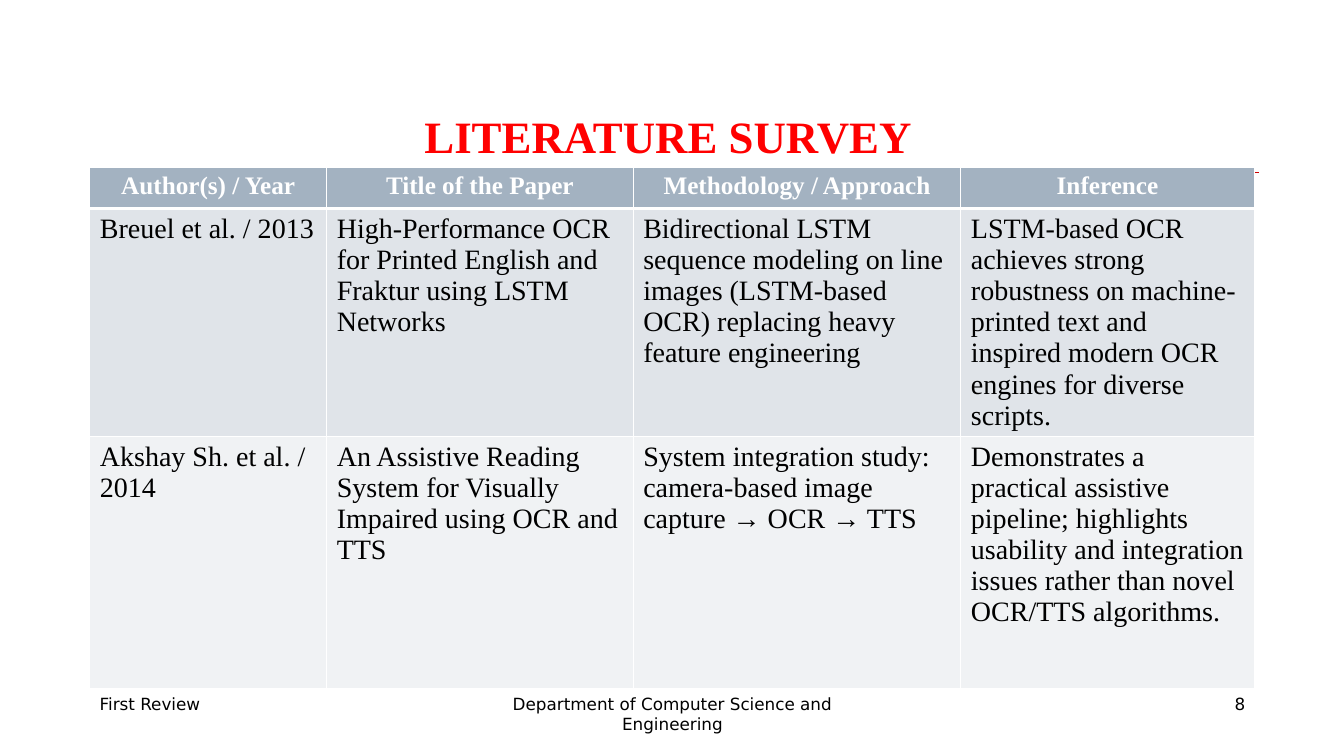
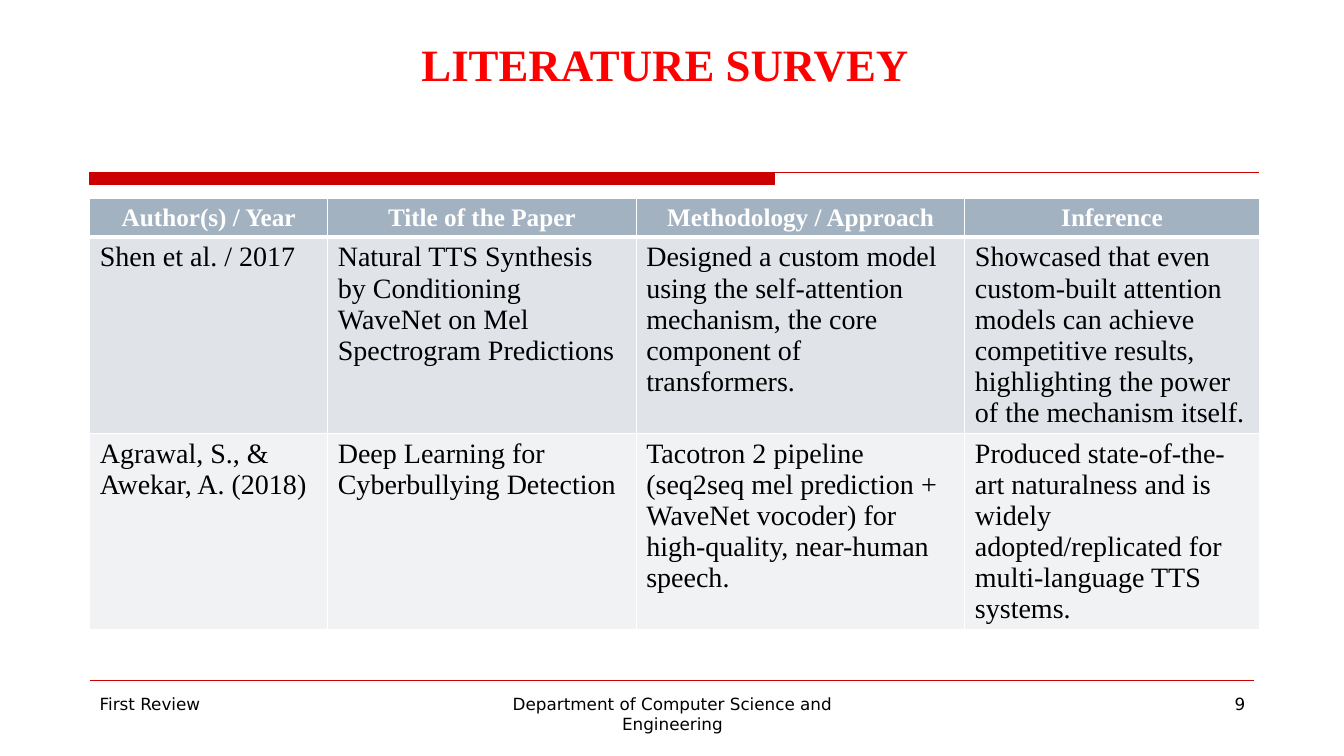
from lxml import etree
from pptx import Presentation
from pptx.dml.color import RGBColor
from pptx.enum.shapes import MSO_CONNECTOR, MSO_SHAPE
from pptx.enum.text import MSO_ANCHOR, PP_ALIGN
from pptx.oxml.ns import qn
from pptx.util import Inches, Pt

LEFT, CENTER, RIGHT = PP_ALIGN.LEFT, PP_ALIGN.CENTER, PP_ALIGN.RIGHT
TOP, BOTTOM = MSO_ANCHOR.TOP, MSO_ANCHOR.BOTTOM
RECTANGLE = MSO_SHAPE.RECTANGLE
STRAIGHT = MSO_CONNECTOR.STRAIGHT

WHITE = RGBColor(0xFF, 0xFF, 0xFF)
BLACK = RGBColor(0x00, 0x00, 0x00)
TITLE_RED = RGBColor(0xFF, 0x00, 0x00)
RULE_RED = RGBColor(0xCC, 0x00, 0x00)
HEADER_FILL = RGBColor(0xA3, 0xB2, 0xC1)
ROW_FILLS = (RGBColor(0xE0, 0xE4, 0xE9), RGBColor(0xF0, 0xF2, 0xF4))

SERIF = "Times New Roman"
SANS = "DejaVu Sans"
MARGIN = 0.89
CELL_LINE_HEIGHT = 1.11

TITLE = "LITERATURE SURVEY "
HEADERS = ("Author(s) / Year", "Title of the Paper",
           "Methodology / Approach", "Inference")

SURVEYS = (
    {
        "number": 8,
        "title_box": (0.84, 0.33, 11.67, 1.33),
        "table_top": 1.66,
        "columns": (2.35, 3.04, 3.25, 2.91),
        "rows": (0.41, 2.26, 2.5),
        "papers": (
            ("Breuel et al. / 2013",
             "High-Performance OCR for Printed English and Fraktur using "
             "LSTM Networks",
             "Bidirectional LSTM sequence modeling on line images "
             "(LSTM-based OCR) replacing heavy feature engineering",
             "LSTM-based OCR achieves strong robustness on machine-printed "
             "text and inspired modern OCR engines for diverse scripts."),
            ("Akshay Sh. et al. / 2014",
             "An Assistive Reading System for Visually Impaired using OCR "
             "and TTS",
             "System integration study: camera-based image capture → OCR "
             "→ TTS",
             "Demonstrates a practical assistive pipeline; highlights "
             "usability and integration issues rather than novel OCR/TTS "
             "algorithms."),
        ),
    },
    {
        "number": 9,
        "title_box": (0.81, 0.23, 11.67, 0.72),
        "table_top": 1.97,
        "columns": (2.36, 3.06, 3.26, 2.92),
        "rows": (0.38, 1.95, 1.95),
        "papers": (
            ("Shen et al. / 2017",
             "Natural TTS Synthesis by Conditioning WaveNet on Mel "
             "Spectrogram Predictions",
             "Designed a custom model using the self-attention mechanism, "
             "the core component of transformers.",
             "Showcased that even custom-built attention models can achieve "
             "competitive results, highlighting the power of the mechanism "
             "itself."),
            ("Agrawal, S., & Awekar, A. (2018)",
             "Deep Learning for Cyberbullying Detection",
             "Tacotron 2 pipeline (seq2seq mel prediction + WaveNet vocoder) "
             "for high-quality, near-human speech.",
             "Produced state-of-the-art naturalness and is widely "
             "adopted/replicated for multi-language TTS systems."),
        ),
    },
)


def style_font(font, name, size, color, bold=False):
    font.name = name
    font.size = Pt(size)
    font.bold = bold
    font.color.rgb = color


def add_text(slide, box, text, font_name, size, color, alignment,
             bold=False, anchor=TOP):
    shape = slide.shapes.add_textbox(*map(Inches, box))
    frame = shape.text_frame
    frame.word_wrap = True
    frame.vertical_anchor = anchor
    frame.text = text
    paragraph = frame.paragraphs[0]
    paragraph.alignment = alignment
    style_font(paragraph.font, font_name, size, color, bold)


def add_rule(slide, y, right):
    line = slide.shapes.add_connector(
        STRAIGHT, Inches(MARGIN), Inches(y), Inches(right), Inches(y))
    line.line.color.rgb = RULE_RED
    line.line.width = Pt(0.75)
    etree.SubElement(line._element.spPr, qn("a:effectLst"))


def add_bands(slide):
    band = slide.shapes.add_shape(
        RECTANGLE, Inches(MARGIN), Inches(1.71), Inches(6.79), Inches(0.12))
    band.shadow.inherit = False
    band.fill.solid()
    band.fill.fore_color.rgb = RULE_RED
    band.line.color.rgb = RULE_RED
    band.line.width = Pt(0.75)
    add_rule(slide, 1.71, 12.49)
    add_rule(slide, 6.75, 12.44)


def add_footer(slide, number):
    for left, width, text, alignment in (
            (MARGIN, 2.89, "First Review", LEFT),
            (4.56, 4.22, "Department of Computer Science and Engineering", CENTER),
            (9.56, 2.89, str(number), RIGHT)):
        add_text(slide, (left, 6.83, width, 0.52), text,
                 SANS, 12, BLACK, alignment)


def set_borders(cell, top, bottom):
    """Draw white borders, 1 pt at the sides; call before the cell is filled."""
    properties = cell._tc.get_or_add_tcPr()
    for side, width in (("L", 1), ("R", 1), ("T", top), ("B", bottom)):
        border = etree.SubElement(properties, qn(f"a:ln{side}"), w=str(Pt(width)))
        fill = etree.SubElement(border, qn("a:solidFill"))
        etree.SubElement(fill, qn("a:srgbClr"), val=str(WHITE))


def fill_cell(cell, text, fill, size, color, alignment, bold=False):
    """Fonts go on the run, as row heights are measured with run fonts."""
    cell.fill.solid()
    cell.fill.fore_color.rgb = fill
    cell.text = text
    paragraph = cell.text_frame.paragraphs[0]
    paragraph.alignment = alignment
    paragraph.line_spacing = Pt(size * CELL_LINE_HEIGHT)
    style_font(paragraph.runs[0].font, SERIF, size, color, bold)


def add_survey_table(slide, top, columns, rows, papers):
    frame = slide.shapes.add_table(
        len(rows), len(columns), Inches(MARGIN), Inches(top),
        Inches(sum(columns)), Inches(sum(rows)))
    table = frame.table
    table.horz_banding = False
    for column, width in zip(table.columns, columns):
        column.width = Inches(width)
    for row, height in zip(table.rows, rows):
        row.height = Inches(height)

    for row_index, texts in enumerate((HEADERS, *papers)):
        is_header = row_index == 0
        for column_index, text in enumerate(texts):
            cell = table.cell(row_index, column_index)
            set_borders(cell, top=3 if row_index == 1 else 1,
                        bottom=3 if is_header else 1)
            if is_header:
                fill_cell(cell, text, HEADER_FILL, 18, WHITE, CENTER, bold=True)
            else:
                fill_cell(cell, text, ROW_FILLS[(row_index - 1) % 2],
                          20, BLACK, LEFT)


def add_survey_slide(presentation, survey):
    slide = presentation.slides.add_slide(presentation.slide_layouts[6])
    add_bands(slide)
    add_text(slide, survey["title_box"], TITLE, SERIF, 32, TITLE_RED, CENTER,
             bold=True, anchor=BOTTOM)
    add_survey_table(slide, survey["table_top"], survey["columns"],
                     survey["rows"], survey["papers"])
    add_footer(slide, survey["number"])


def main():
    presentation = Presentation()
    presentation.slide_width = Inches(13.33)
    presentation.slide_height = Inches(7.5)
    for survey in SURVEYS:
        add_survey_slide(presentation, survey)
    presentation.save("out.pptx")


if __name__ == "__main__":
    main()
